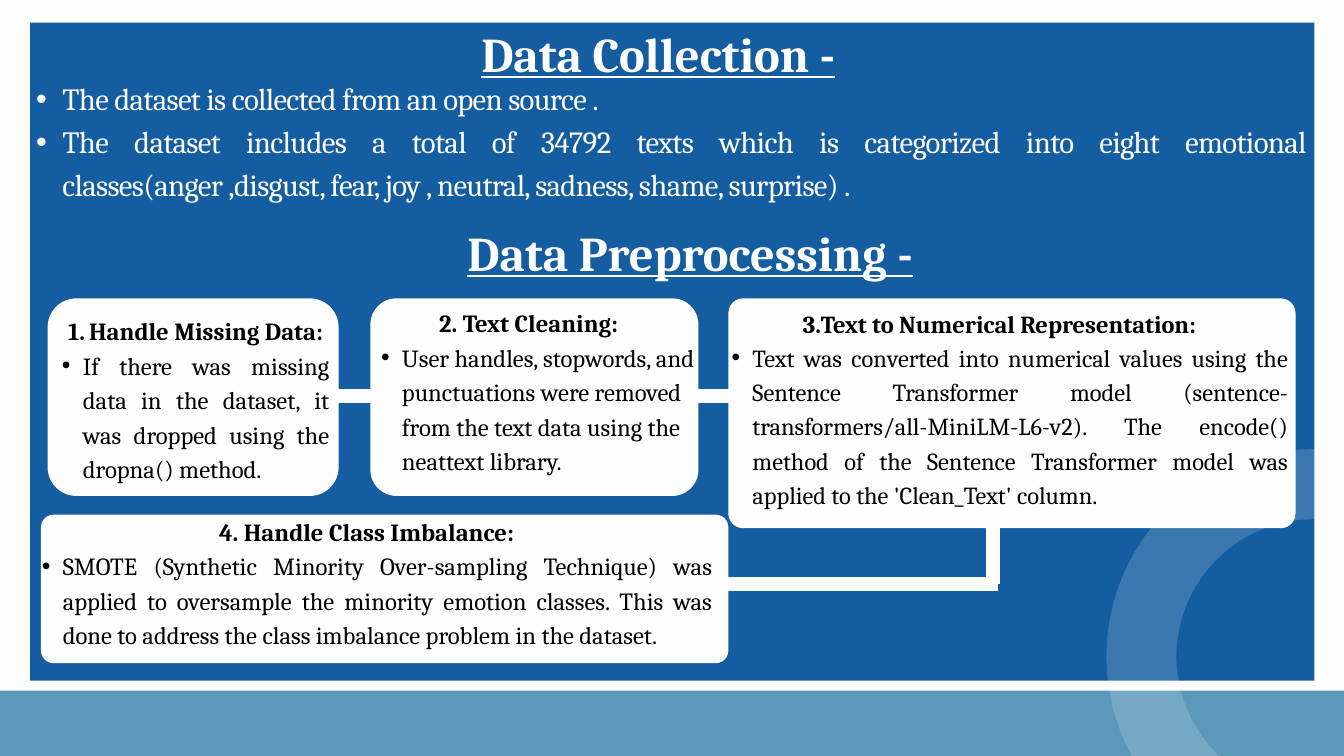
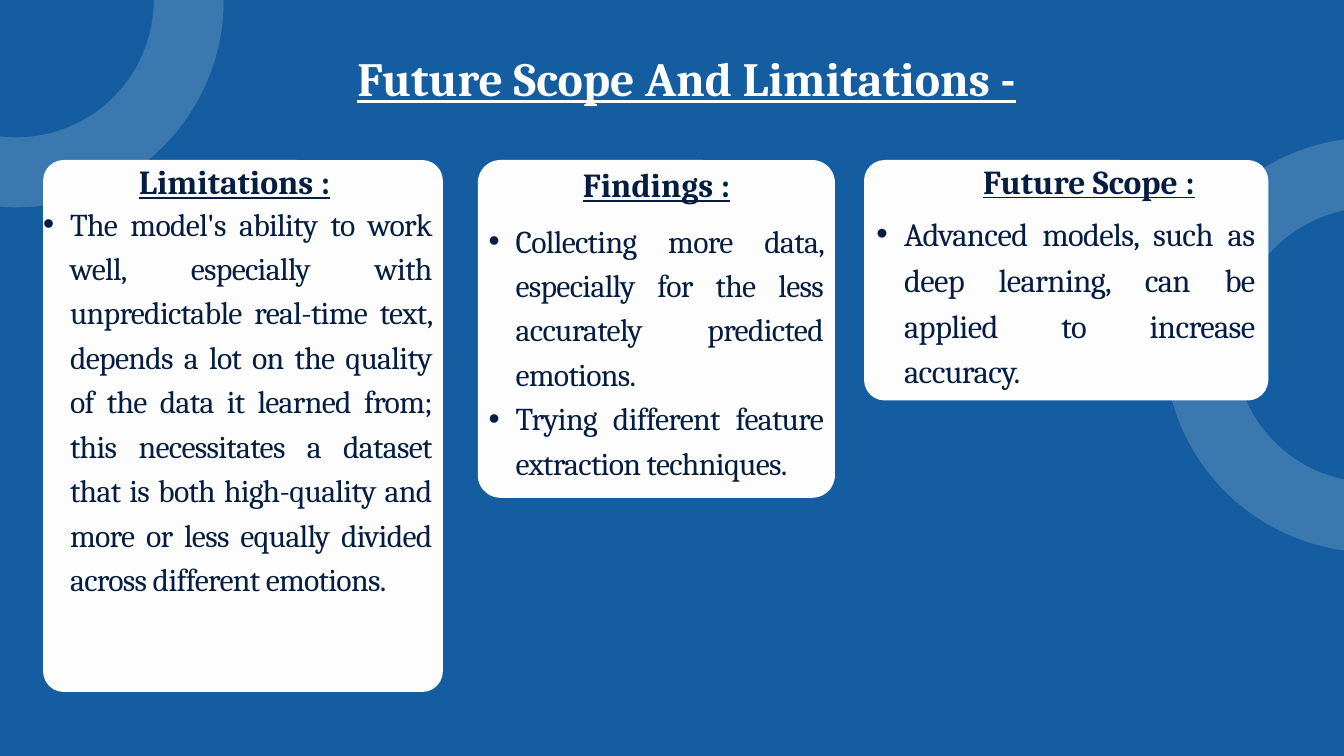
import pptx
import pptx.dml.color
import pptx.enum.shapes
import pptx.enum.text
import pptx.oxml.ns
import pptx.util
from lxml import etree

Cm, Pt = pptx.util.Cm, pptx.util.Pt
SHAPES = pptx.enum.shapes.MSO_SHAPE
ALIGN = pptx.enum.text.PP_ALIGN
qn = pptx.oxml.ns.qn

FONT = "Cambria"
WHITE, BLUE, STEEL, NAVY, BLACK = "FDFDFD", "145DA0", "5B98BA", "051D40", "000000"
LEADING = 1.4  # line pitch per point of text size
HANG = 0.03  # bullet indent in cm per point of text size
RING_SIZE = 13.03
CARD_SIZE = 26.4


def rgb(value):
    return pptx.dml.color.RGBColor.from_string(value)


class Deck:
    def __init__(self, width, height):
        self.prs = pptx.Presentation()
        self.prs.slide_width, self.prs.slide_height = Cm(width), Cm(height)
        self.s = None

    def slide(self, background):
        self.s = self.prs.slides.add_slide(self.prs.slide_layouts[6])
        fill = self.s.background.fill
        fill.solid()
        fill.fore_color.rgb = rgb(background)

    def shape(self, kind, box, color):
        sp = self.s.shapes.add_shape(kind, *map(Cm, box))
        sp.shadow.inherit = False
        sp.fill.solid()
        sp.fill.fore_color.rgb = rgb(color)
        sp.line.fill.background()
        return sp

    def band(self, box, color):
        self.shape(SHAPES.RECTANGLE, box, color)

    def card(self, box, radius):
        sp = self.shape(SHAPES.ROUNDED_RECTANGLE, box, WHITE)
        sp.adjustments[0] = radius / min(box[2:])

    def ring(self, x, y):
        """Draw a see-through ring centred on x, y."""
        half = RING_SIZE / 2
        sp = self.shape(SHAPES.OVAL, (x - half, y - half, RING_SIZE, RING_SIZE), WHITE)
        sp.fill.background()
        sp.line.width = Pt(75)
        sp.line.color.rgb = rgb("FFFFFF")
        color = sp.line._ln.find(".//" + qn("a:srgbClr"))
        etree.SubElement(color, qn("a:alpha"), val="16000")

    def link(self, x1, y1, x2, y2):
        straight = pptx.enum.shapes.MSO_CONNECTOR.STRAIGHT
        cn = self.s.shapes.add_connector(straight, *map(Cm, (x1, y1, x2, y2)))
        cn.line.width = Pt(15.22)
        cn.line.color.rgb = rgb(WHITE)
        etree.SubElement(cn._element.spPr, qn("a:effectLst"))

    def text_box(self, box):
        tf = self.s.shapes.add_textbox(*map(Cm, box)).text_frame
        tf.word_wrap = True
        tf.auto_size = pptx.enum.text.MSO_AUTO_SIZE.SHAPE_TO_FIT_TEXT
        tf.margin_left = tf.margin_right = tf.margin_top = tf.margin_bottom = 0
        return tf

    def paragraph(self, tf, text, size, color, align=ALIGN.CENTER, bullet=None,
                  bold=False, underline=False, tracking=0):
        """Add one paragraph; bullet is None, a character, or "auto" for numbering."""
        p = tf.paragraphs[0]
        if p.runs:
            p = tf.add_paragraph()
        p.alignment = align
        p.line_spacing = Pt(round(size * LEADING, 1))
        if bullet:
            p.level = 1
            pPr = p._p.get_or_add_pPr()
            pPr.set("marL", str(Cm(2 * HANG * size)))
            pPr.set("indent", str(-Cm(HANG * size)))
            if bullet == "auto":
                etree.SubElement(pPr, qn("a:buAutoNum"), type="arabicPeriod")
            else:
                etree.SubElement(pPr, qn("a:buFont"), typeface="Arial")
                etree.SubElement(pPr, qn("a:buChar"), char=bullet)
        r = p.add_run()
        r.text = text
        r.font.name, r.font.size, r.font.bold = FONT, Pt(size), bold
        r.font.underline = underline
        r.font.color.rgb = rgb(color)
        if tracking:
            r._r.get_or_add_rPr().set("spc", str(round(tracking * 100)))

    def heading(self, box, text, size, color=WHITE):
        self.paragraph(self.text_box(box), text, size, color, bold=True, underline=True)

    def bullets(self, box, items, size, color):
        tf = self.text_box(box)
        for item in items:
            self.paragraph(tf, item, size, color, ALIGN.JUSTIFY, "•", tracking=-0.7)

    def step(self, card, radius, box, title, body, size=CARD_SIZE,
             align=ALIGN.JUSTIFY, number=None):
        """Draw a card with a bold title and one bullet below it."""
        self.card(card, radius)
        tf = self.text_box(box)
        self.paragraph(tf, title, size, BLACK, bullet=number, bold=True)
        self.paragraph(tf, body, size, BLACK, align, "•")


def data_slide(deck):
    deck.slide(WHITE)
    deck.band((-0.53, 26.11, 51.33, 2.84), STEEL)
    deck.band((1.14, 0.86, 48.54, 24.87), BLUE)
    deck.ring(49.66, 24.82)
    deck.heading((15.57, 0.53, 18.62, 2.49), "Data Collection -", 52)
    deck.bullets((0.38, 2.79, 49, 4.83), [
        "The dataset is collected from an open source .",
        "The dataset includes a total of 34792 texts which is categorized into eight "
        "emotional classes(anger ,disgust, fear, joy , neutral, sadness, shame, surprise) .",
    ], 33, WHITE)
    deck.heading((14.45, 8.05, 23.27, 2.49), "Data Preprocessing -", 52)

    deck.link(10.85, 14.96, 29.16, 14.96)
    top = 11.28
    deck.step((1.8, top, 11, 7.47), 1.09, (1.55, 11.76, 10.9, 6.38),
              "Handle Missing Data:",
              "If there was missing data in the dataset, it was dropped using the "
              "dropna() method.", number="auto")
    deck.step((14, top, 12.4, 7.47), 0.99, (13.61, 11.46, 12.75, 6.38),
              "2. Text Cleaning:",
              "User handles, stopwords, and punctuations were removed from the text "
              "data using the neattext library.", align=ALIGN.LEFT)
    deck.step((27.53, top, 21.44, 8.69), 0.56, (26.87, 11.48, 21.82, 8.92),
              "3.Text to Numerical Representation:",
              "Text was converted into numerical values using the Sentence Transformer "
              "model (sentence-transformers/all-MiniLM-L6-v2). The encode() method of the "
              "Sentence Transformer model was applied to the 'Clean_Text' column.", 26.2)
    deck.step((1.55, 19.46, 25.98, 5.61), 0.47, (0.79, 19.35, 26.14, 6.38),
              "4. Handle Class Imbalance:",
              "SMOTE (Synthetic Minority Over-sampling Technique) was applied to "
              "oversample the minority emotion classes. This was done to address the "
              "class imbalance problem in the dataset.")
    deck.link(26.92, 22.07, 37.72, 22.07)
    deck.link(37.52, 19.25, 37.52, 22.07)


def outlook_slide(deck):
    deck.slide(BLUE)
    deck.ring(0.62, 0)
    deck.ring(51.85, 13.04)
    top = 6.05
    columns = [
        ((18.06, top, 13.5, 12.77), 0.86, (21.49, 5.94, 6.65, 1.75), "Findings :", 36,
         (17.45, 8.13, 13.67, 11.63), 34,
         ["Collecting more data, especially for the less accurately predicted emotions.",
          "Trying different feature extraction techniques."]),
        ((32.66, top, 15.28, 9.09), 0.78, (36.37, 5.82, 9.58, 1.75), "Future Scope :", 35.9,
         (32.08, 7.85, 15.34, 6.83), 34.9,
         ["Advanced models, such as deep learning, can be applied to increase accuracy."]),
        ((1.63, top, 15.11, 20.11), 0.78, (4.85, 5.84, 8.03, 1.73), "Limitations :", 36,
         (0.61, 7.49, 15.72, 18.31), 34,
         ["The model's ability to work well, especially with unpredictable real-time "
          "text, depends a lot on the quality of the data it learned from; this "
          "necessitates a dataset that is both high-quality and more or less equally "
          "divided across different emotions."]),
    ]
    for card, radius, head_box, head, head_size, body_box, body_size, items in columns:
        deck.card(card, radius)
        deck.heading(head_box, head, head_size, NAVY)
        deck.bullets(body_box, items, body_size, NAVY)
    deck.heading((8.79, 1.5, 34.32, 2.44), "Future Scope And Limitations -", 51.1)


def main():
    deck = Deck(50.8, 28.58)
    data_slide(deck)
    outlook_slide(deck)
    deck.prs.save("out.pptx")


if __name__ == "__main__":
    main()
